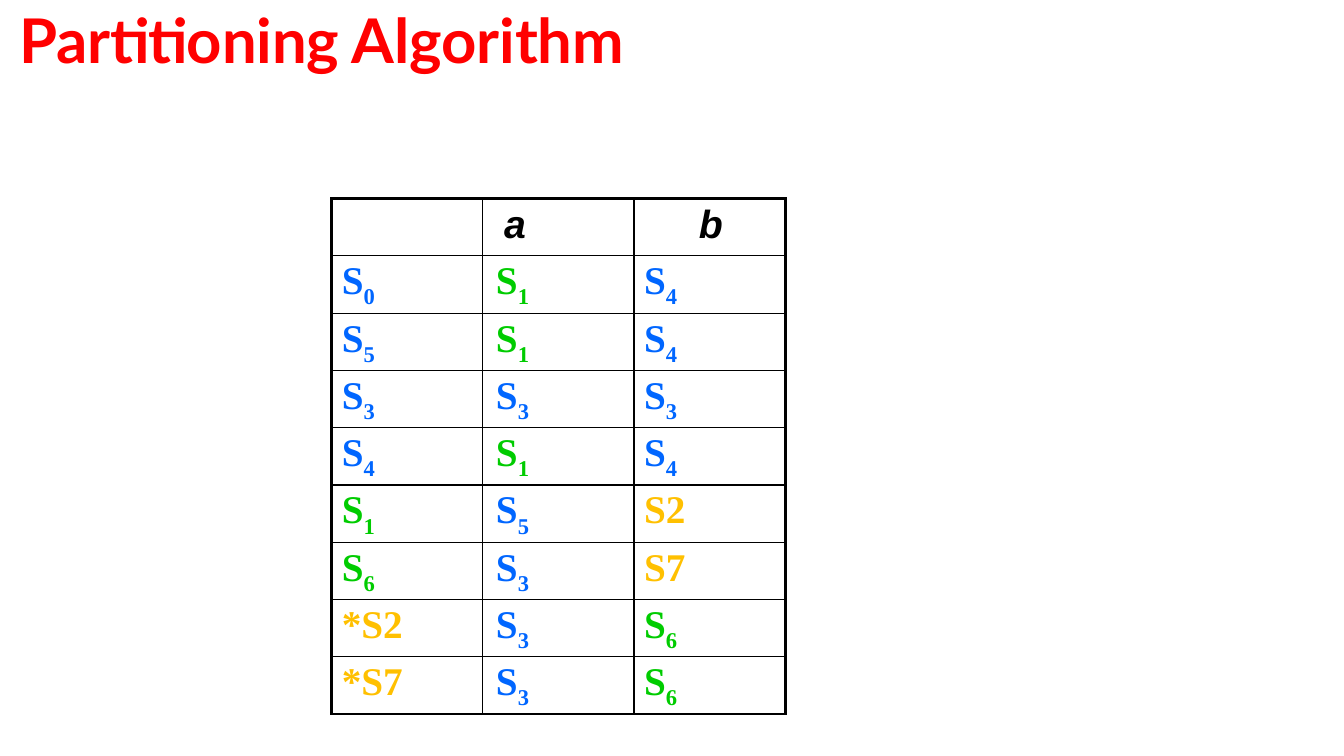
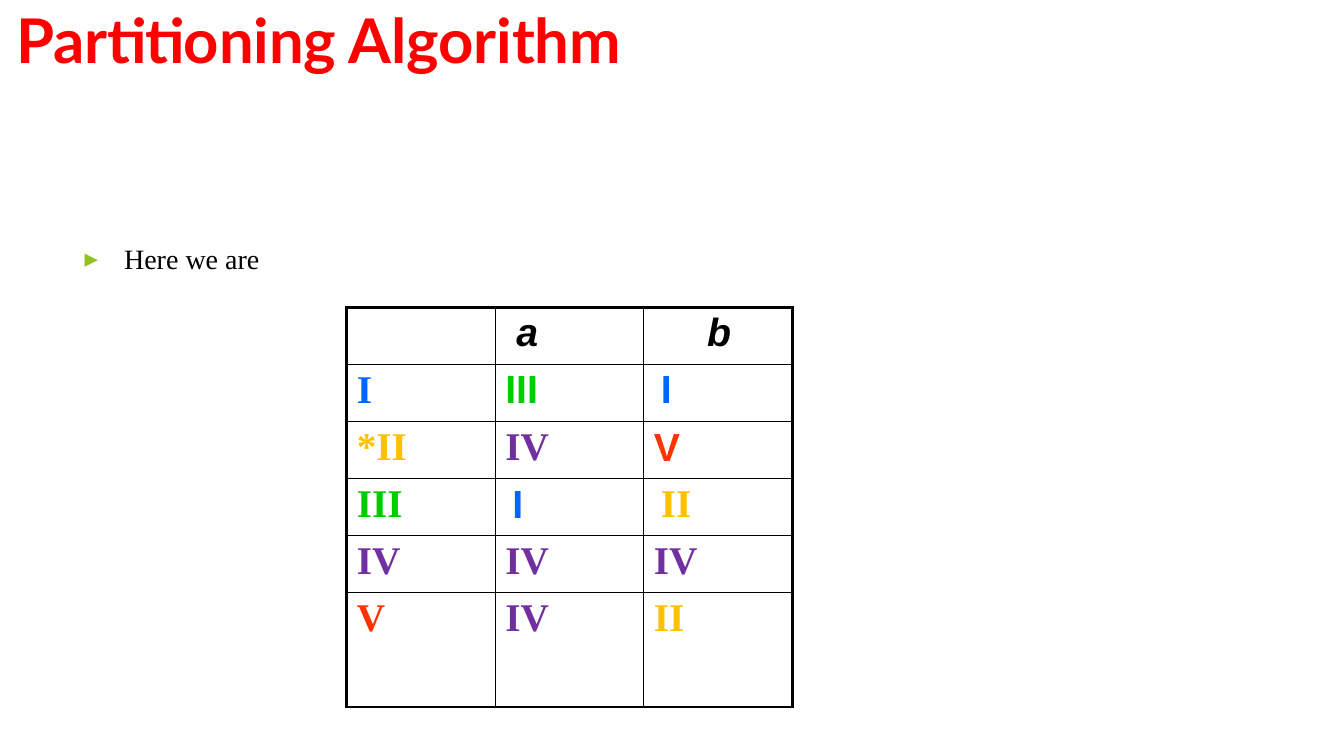
from dataclasses import dataclass
from itertools import product

from lxml import etree
from pptx import Presentation
from pptx import util as u
from pptx.dml.color import RGBColor
from pptx.enum import text
from pptx.oxml import ns


@dataclass(frozen=True)
class Theme:
    heading: str = "FF0000"
    ink: str = "000000"
    marker: str = "90C225"
    blue: str = "0066FF"
    green: str = "00CC00"
    amber: str = "FFC000"
    purple: str = "7030A0"
    orange: str = "FF3300"
    heading_font: str = "Lato"
    serif: str = "Times New Roman"
    sans: str = "Arial"
    marker_font: str = "DejaVu Sans Mono"
    heading_size: float = 44
    remark_size: float = 20
    state_size: float = 28
    index_size: float = 27.8
    outer_line: float = 2.25
    inner_line: float = 1


@dataclass(frozen=True)
class Area:
    """Percentages of the slide's width and height."""

    left: float
    top: float
    width: float
    height: float


@dataclass(frozen=True)
class Grid:
    """Origin, column and row as percentages of the slide; spans in rows."""

    left: float
    top: float
    column: float
    row: float
    spans: tuple[int, ...]


@dataclass(frozen=True)
class Entry:
    stem: str
    index: str = ""
    colour: str = Theme.ink
    font: str = Theme.serif
    indent: float = 0.1
    italic: bool = False
    centred: bool = False


THEME = Theme()
WIDTH, HEIGHT = u.Inches(13.33), u.Inches(7.5)
HEADING = "Partitioning Algorithm"
COLUMNS = 3

STATE_COLOURS = {
    **dict.fromkeys("0345", THEME.blue),
    **dict.fromkeys("16", THEME.green),
    **dict.fromkeys("27", THEME.amber),
}
GROUP_COLOURS = {
    "I": THEME.blue,
    "II": THEME.amber,
    "III": THEME.green,
    "IV": THEME.purple,
    "V": THEME.orange,
}
STATE_ROWS = (
    "S0 S1 S4", "S5 S1 S4", "S3 S3 S3", "S4 S1 S4",
    "S1 S5 S2", "S6 S3 S7", "*S2 S3 S6", "*S7 S3 S6",
)
GROUP_ROWS = ("I III I", "*II IV V", "III I II", "IV IV IV", "V IV II")
SANS_GROUPS = {(0, 1), (0, 2), (1, 2), (2, 1)}
INSET_GROUPS = {(0, 2), (2, 1), (2, 2)}


def across(share: float) -> int:
    return round(WIDTH * share / 100)


def down(share: float) -> int:
    return round(HEIGHT * share / 100)


def header() -> list[Entry]:
    return [
        Entry(""),
        Entry("a", font=THEME.sans, indent=0.21, italic=True),
        Entry("b", font=THEME.sans, indent=0.02, italic=True, centred=True),
    ]


def state(label: str, column: int) -> Entry:
    colour = STATE_COLOURS[label[-1]]
    indent = 0.13 if column == 1 else 0.1
    if colour == THEME.amber:
        return Entry(label, colour=colour, indent=indent)
    return Entry(label[:-1], label[-1], colour, indent=indent)


def group(label: str, row: int, column: int) -> Entry:
    return Entry(
        label,
        colour=GROUP_COLOURS[label.lstrip("*")],
        font=THEME.sans if (row, column) in SANS_GROUPS else THEME.serif,
        indent=0.17 if (row, column) in INSET_GROUPS else 0.1,
    )


def style_run(run, font: str, size: float, colour: str, bold: bool = False,
              italic: bool = False) -> None:
    run.font.name = font
    run.font.size = u.Pt(size)
    run.font.bold = bold
    run.font.italic = italic
    run.font.color.rgb = RGBColor.from_string(colour)


def fill_placeholder(holder, wording: str, area: Area, anchor):
    holder.left, holder.width = across(area.left), across(area.width)
    holder.top, holder.height = down(area.top), down(area.height)
    frame = holder.text_frame
    frame.text = wording
    frame.word_wrap = True
    frame.auto_size = text.MSO_AUTO_SIZE.NONE
    frame.vertical_anchor = anchor
    frame.margin_left = frame.margin_right = frame.margin_bottom = 0
    frame.margin_top = u.Inches(0.01)
    paragraph = frame.paragraphs[0]
    paragraph.alignment = text.PP_ALIGN.LEFT
    paragraph.space_before = u.Pt(0)
    return paragraph


def set_indent(paragraph, left: float, first: float = 0):
    properties = paragraph._p.get_or_add_pPr()
    properties.set("marL", str(u.Inches(left)))
    properties.set("indent", str(u.Inches(first)))
    return properties


def add_heading(slide, area: Area) -> None:
    paragraph = fill_placeholder(
        slide.shapes.title, HEADING, area, text.MSO_ANCHOR.MIDDLE)
    set_indent(paragraph, 0.01)
    run = paragraph.runs[0]
    style_run(run, THEME.heading_font, THEME.heading_size, THEME.heading, True)
    run._r.get_or_add_rPr().set("spc", "-10")


def add_remark(slide, wording: str, area: Area) -> None:
    paragraph = fill_placeholder(
        slide.placeholders[1], wording, area, text.MSO_ANCHOR.TOP)
    properties = set_indent(paragraph, 0.4, -0.39)
    colour = etree.SubElement(properties, ns.qn("a:buClr"))
    etree.SubElement(colour, ns.qn("a:srgbClr"), val=THEME.marker)
    etree.SubElement(properties, ns.qn("a:buSzPct"), val="80000")
    etree.SubElement(properties, ns.qn("a:buFont"), typeface=THEME.marker_font)
    etree.SubElement(properties, ns.qn("a:buChar"), char="▶")
    style_run(paragraph.runs[0], THEME.serif, THEME.remark_size, THEME.ink)


def set_borders(cell, outer: dict[str, bool]) -> None:
    properties = cell._tc.get_or_add_tcPr()
    for side, is_outer in outer.items():
        weight = THEME.outer_line if is_outer else THEME.inner_line
        line = etree.SubElement(
            properties, ns.qn(f"a:ln{side}"), w=str(u.Pt(weight)))
        fill = etree.SubElement(line, ns.qn("a:solidFill"))
        etree.SubElement(fill, ns.qn("a:srgbClr"), val=THEME.ink)


def write_entry(cell, entry: Entry) -> None:
    cell.margin_left = cell.margin_right = cell.margin_bottom = 0
    cell.margin_top = u.Inches(0.04)
    if not entry.stem:
        return
    paragraph = cell.text_frame.paragraphs[0]
    paragraph.text = entry.stem
    paragraph.alignment = (
        text.PP_ALIGN.CENTER if entry.centred else text.PP_ALIGN.LEFT)
    set_indent(paragraph, entry.indent)
    style_run(paragraph.runs[0], entry.font, THEME.state_size, entry.colour,
              True, entry.italic)
    if entry.index:
        index = paragraph.add_run()
        index.text = entry.index
        style_run(index, entry.font, THEME.index_size, entry.colour, True)
        index._r.get_or_add_rPr().set("baseline", "-26000")


def add_transitions(slide, grid: Grid, rows: list[list[Entry]]) -> None:
    table = slide.shapes.add_table(
        len(rows), COLUMNS, across(grid.left), down(grid.top),
        across(grid.column * COLUMNS), down(grid.row * sum(grid.spans))).table
    table.first_row = table.horz_banding = False
    for column in table.columns:
        column.width = across(grid.column)
    for row, span in zip(table.rows, grid.spans):
        row.height = down(grid.row * span)
    for r, c in product(range(len(rows)), range(COLUMNS)):
        cell = table.cell(r, c)
        write_entry(cell, rows[r][c])
        set_borders(cell, {"L": c == 0, "R": c == COLUMNS - 1,
                           "T": r == 0, "B": r == len(rows) - 1})
        cell.fill.background()


def main() -> None:
    deck = Presentation()
    deck.slide_width, deck.slide_height = WIDTH, HEIGHT

    states = deck.slides.add_slide(deck.slide_layouts[5])
    add_heading(states, Area(1.35, 0, 58, 10.13))
    add_transitions(
        states, Grid(24.68, 26.27, 11.25, 7.58, (1,) * 9),
        [header()] + [[state(label, c) for c, label in enumerate(row.split())]
                      for row in STATE_ROWS])

    groups = deck.slides.add_slide(deck.slide_layouts[1])
    add_heading(groups, Area(1.13, 0, 70, 10.13))
    add_remark(groups, "Here we are", Area(6.23, 31.87, 14, 4.8))
    add_transitions(
        groups, Grid(25.8, 40.67, 11.05, 7.55, (1, 1, 1, 1, 1, 2)),
        [header()] + [[group(label, r, c) for c, label in enumerate(row.split())]
                      for r, row in enumerate(GROUP_ROWS)])

    deck.save("out.pptx")


if __name__ == "__main__":
    main()
